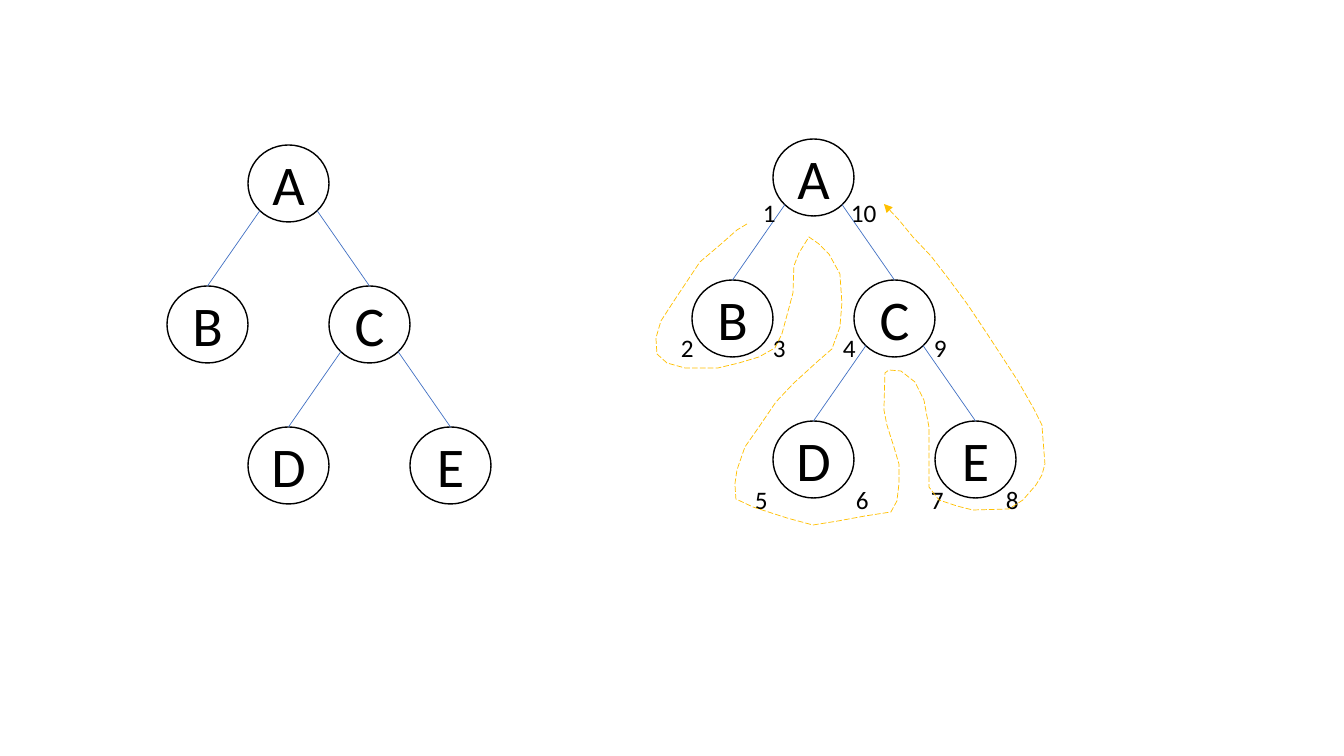
"""Build a slide showing a binary tree and its depth-first traversal."""
from math import sqrt
from typing import NamedTuple

from lxml import etree
from pptx import Presentation
from pptx import util as u
from pptx.dml.color import RGBColor
from pptx.enum import dml, shapes, text
from pptx.oxml import ns

EMU_PER_PIXEL = 914400 / 100.8
FONT = "Calibri"
COLORS = {"node": "FFFFFF", "ink": "000000", "edge": "4472C4", "route": "FFC000"}

NODE_WIDTH, NODE_HEIGHT = 81, 77
STEP_X, STEP_Y = 81, 141
LABEL_INSET = 10


class Node(NamedTuple):
    """A tree node: its column and row steps from the root, and its parent."""
    column: int
    row: int
    parent: str = ""


class VisitRow(NamedTuple):
    """A row of visit numbers, the later ones placed at tab stops."""
    left: int
    top: int
    width: int
    numbers: list[str]
    tabs: list[int]


TREE = {
    "A": Node(0, 0),
    "B": Node(-1, 1, "A"),
    "C": Node(1, 1, "A"),
    "D": Node(0, 2, "C"),
    "E": Node(2, 2, "C"),
}
TREE_ROOTS = [(248, 145), (773, 139)]

VISIT_ROWS = [
    VisitRow(753, 192, 135, ["1", "10"], [88]),
    VisitRow(671, 327, 289, ["2", "3", "4", "9"], [92, 162, 253]),
    VisitRow(745, 479, 289, ["5", "6", "7", "8"], [101, 176, 251]),
]

ROUTE = [
    # Down and around B
    (747, 224), (737, 230), (720, 245), (700, 262), (686, 283), (674, 301),
    (661, 321), (656, 338), (657, 354), (667, 363), (685, 368), (718, 368),
    (739, 363), (759, 357), (775, 348), (782, 334), (789, 308), (793, 293),
    # Under A
    (794, 266), (799, 253), (809, 237), (819, 244), (829, 254), (840, 274),
    (842, 303), (840, 327), (832, 349), (817, 362), (794, 383), (776, 402),
    # Around D
    (759, 427), (745, 447), (737, 470), (735, 484), (736, 499), (753, 507),
    (787, 518), (813, 525), (838, 521), (865, 516), (891, 512), (897, 501),
    (899, 484), (899, 464), (894, 447), (887, 425), (884, 410),
    # Under C
    (885, 373), (889, 370), (901, 371), (915, 382), (924, 400), (929, 427),
    # Around E
    (929, 487), (939, 500), (957, 506), (973, 510), (1009, 509), (1023, 500),
    (1036, 485), (1042, 475), (1045, 464), (1042, 425), (1034, 409),
    # Back up to A
    (1018, 381), (988, 335), (968, 305), (948, 278), (931, 256), (913, 237),
    (899, 220), (884, 204),
]


def px(pixels: float) -> u.Emu:
    """Turn pixels into EMU."""
    return u.Emu(round(pixels * EMU_PER_PIXEL))


def color(name: str) -> RGBColor:
    """Look up a named colour."""
    return RGBColor.from_string(COLORS[name])


def style_line(line, color_name: str, points: float) -> None:
    """Set the colour and width of a line."""
    line.color.rgb = color(color_name)
    line.width = u.Pt(points)


def style_font(paragraph, points: int) -> None:
    """Set the font of a whole paragraph."""
    paragraph.font.name = FONT
    paragraph.font.size = u.Pt(points)
    paragraph.font.color.rgb = color("ink")


def add_node(slide, name: str, left: int, top: int) -> None:
    """Draw one lettered tree node."""
    shape = slide.shapes.add_shape(
        shapes.MSO_SHAPE.OVAL, px(left), px(top), px(NODE_WIDTH), px(NODE_HEIGHT))
    shape.shadow.inherit = False
    shape.fill.solid()
    shape.fill.fore_color.rgb = color("node")
    style_line(shape.line, "ink", 1)
    shape.text_frame.vertical_anchor = text.MSO_ANCHOR.MIDDLE
    paragraph = shape.text_frame.paragraphs[0]
    paragraph.text = name
    paragraph.alignment = text.PP_ALIGN.CENTER
    style_font(paragraph, 40)


def add_edge(slide, parent: tuple[int, int], child: tuple[int, int]) -> None:
    """Join a parent's lower diagonal to the top of its child."""
    side = 1 if child[0] > parent[0] else -1
    start_x = parent[0] + NODE_WIDTH / 2 * (1 + side / sqrt(2))
    start_y = parent[1] + NODE_HEIGHT / 2 * (1 + 1 / sqrt(2))
    connector = slide.shapes.add_connector(
        shapes.MSO_CONNECTOR.STRAIGHT, px(start_x), px(start_y),
        px(child[0] + NODE_WIDTH / 2), px(child[1]))
    style_line(connector.line, "edge", 0.5)
    etree.SubElement(connector._element.spPr, ns.qn("a:effectLst"))


def add_tree(slide, left: int, top: int) -> None:
    """Draw the tree with its root at the given place."""
    places = {name: (left + node.column * STEP_X, top + node.row * STEP_Y)
              for name, node in TREE.items()}
    for name, place in places.items():
        add_node(slide, name, *place)
    for name, node in TREE.items():
        if node.parent:
            add_edge(slide, places[node.parent], places[name])


def add_visit_row(slide, row: VisitRow) -> None:
    """Write a row of visit numbers on tab stops."""
    box = slide.shapes.add_textbox(px(row.left), px(row.top), px(row.width), px(40))
    frame = box.text_frame
    frame.word_wrap = True
    frame.margin_left, frame.margin_right = px(LABEL_INSET), 0
    paragraph = frame.paragraphs[0]
    paragraph.text = "\t".join(row.numbers)
    style_font(paragraph, 18)
    properties = paragraph._p.get_or_add_pPr()
    tab_list = etree.Element(ns.qn("a:tabLst"))
    for tab in row.tabs:
        etree.SubElement(tab_list, ns.qn("a:tab"), pos=str(px(tab)), algn="l")
    properties.insert(0, tab_list)


def add_route(slide, points: list[tuple[int, int]]) -> None:
    """Draw the dashed traversal route with an arrowhead at its end."""
    start, *rest = [(px(x), px(y)) for x, y in points]
    builder = slide.shapes.build_freeform(*start)
    builder.add_line_segments(rest, close=False)
    shape = builder.convert_to_shape()
    shape.shadow.inherit = False
    shape.fill.background()
    style_line(shape.line, "route", 0.5)
    shape.line.dash_style = dml.MSO_LINE.LONG_DASH
    etree.SubElement(shape.line._get_or_add_ln(), ns.qn("a:tailEnd"), type="triangle")


def main() -> None:
    """Build and save the presentation."""
    presentation = Presentation()
    presentation.slide_width, presentation.slide_height = px(1344), px(756)
    slide = presentation.slides.add_slide(presentation.slide_layouts[6])
    for root in TREE_ROOTS:
        add_tree(slide, *root)
    for row in VISIT_ROWS:
        add_visit_row(slide, row)
    add_route(slide, ROUTE)
    presentation.save("out.pptx")


main()
